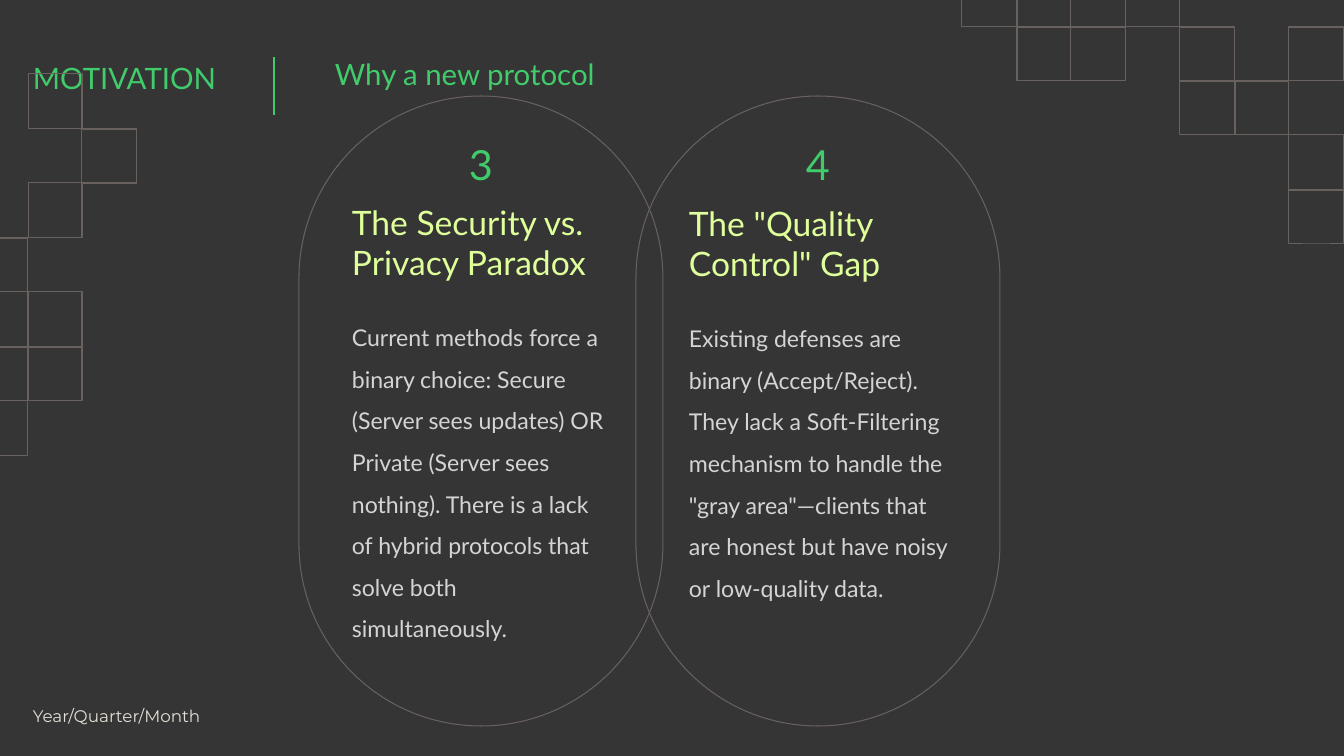
from pptx import Presentation
from pptx.dml.color import RGBColor
from pptx.enum.shapes import MSO_CONNECTOR, MSO_SHAPE
from pptx.enum.text import MSO_ANCHOR, MSO_AUTO_SIZE, PP_ALIGN
from pptx.oxml.ns import qn
from pptx.util import Pt
from lxml.etree import SubElement

PX = 914400 / 100.8
CHARCOAL = RGBColor(0x35, 0x35, 0x35)
OUTLINE = RGBColor(0x69, 0x61, 0x5E)
GREEN = RGBColor(0x41, 0xCC, 0x6B)
LIME = RGBColor(0xDE, 0xFF, 0x9A)
LIGHT_GRAY = RGBColor(0xD4, 0xD4, 0xD4)
CREAM = RGBColor(0xE3, 0xDF, 0xD6)


def emu(*lengths):
    return [round(length * PX) for length in lengths]


def write(text, box, holder=None, size=21, color=GREEN, font="Lato", insets=(12, 12, 12, 12),
          align=PP_ALIGN.LEFT, anchor=MSO_ANCHOR.TOP, spacing=1.0):
    left, top, width, height = emu(*box)
    if holder is None:
        holder = slide.shapes.add_textbox(left, top, width, height)
    holder.left, holder.top, holder.width, holder.height = left, top, width, height
    frame = holder.text_frame
    frame.text = text
    frame.word_wrap = True
    frame.auto_size = MSO_AUTO_SIZE.NONE
    frame.vertical_anchor = anchor
    (frame.margin_left, frame.margin_top,
     frame.margin_right, frame.margin_bottom) = emu(*insets)
    paragraph = frame.paragraphs[0]
    paragraph.alignment = align
    paragraph.line_spacing = spacing
    run_font = paragraph.runs[0].font
    run_font.name, run_font.size = font, Pt(size)
    run_font.color.rgb = color


def outline(kind, box):
    shape = slide.shapes.add_shape(kind, *emu(*box))
    shape.shadow.inherit = False
    shape.fill.background()
    shape.line.color.rgb = OUTLINE
    shape.line.width = Pt(0.75)
    return shape


prs = Presentation()
prs.slide_width, prs.slide_height = emu(1344, 756)
slide = prs.slides.add_slide(prs.slide_layouts[5])
slide.background.fill.solid()
slide.background.fill.fore_color.rgb = CHARCOAL

# Square patterns: column edges, row edges, then the columns drawn in each row
patterns = [
    ([0, 28, 82, 137], [74, 129, 183, 238, 292, 347, 401, 456],
     [[1], [2], [1], [0], [0, 1], [0, 1], [0]]),
    ([962, 1017, 1071, 1126, 1180, 1235, 1289, 1344], [-1, 27, 81, 135, 190, 244],
     [[0, 1, 2, 3], [1, 2, 4, 6], [4, 5], [6], [6]]),
]
for xs, ys, rows in patterns:
    for row, columns in enumerate(rows):
        for col in columns:
            outline(MSO_SHAPE.RECTANGLE, (xs[col], ys[row], xs[col + 1] - xs[col],
                                          ys[row + 1] - ys[row]))

# Heading, divider and subheading
HEADING_INSETS = (27, 13, 13, 13)
write("MOTIVATION", (6, 47, 268, 77), slide.shapes.title, insets=HEADING_INSETS)
divider = slide.shapes.add_connector(MSO_CONNECTOR.STRAIGHT, *emu(274, 57, 274, 115))
divider.line.color.rgb = GREEN
divider.line.width = Pt(2)
SubElement(divider._element.spPr, qn("a:effectLst"))
write("Why a new protocol", (308, 43, 322, 77), insets=HEADING_INSETS)

# Numbered reasons
reasons = [
    ("3", "The Security vs. Privacy Paradox",
     "Current methods force a binary choice: Secure (Server sees updates) OR Private "
     "(Server sees nothing). There is a lack of hybrid protocols that solve both "
     "simultaneously."),
    ("4", 'The "Quality Control" Gap',
     "Existing defenses are binary (Accept/Reject). They lack a Soft-Filtering mechanism "
     'to handle the "gray area"—clients that are honest but have noisy or low-quality data.'),
]
for index, (number, claim, detail) in enumerate(reasons):
    left = 299 + 337 * index
    capsule = outline(MSO_SHAPE.ROUNDED_RECTANGLE, (left, 96, 364, 630))
    capsule.adjustments[0] = 0.5
    write(number, (left + 139, 127, 86, 71), size=29.6, align=PP_ALIGN.CENTER)
    write(claim, (left + 41, 190 + index, 283, 82), size=24, color=LIME)
    write(detail, (left + 41, 298 + index, 283, 297), size=16.5, color=LIGHT_GRAY, spacing=1.5)

# Footer
write("Year/Quarter/Month", (33, 702, 285, 28), size=12, color=CREAM, font="Montserrat",
      insets=(0, 0, 0, 0), anchor=MSO_ANCHOR.MIDDLE)

prs.save("out.pptx")
